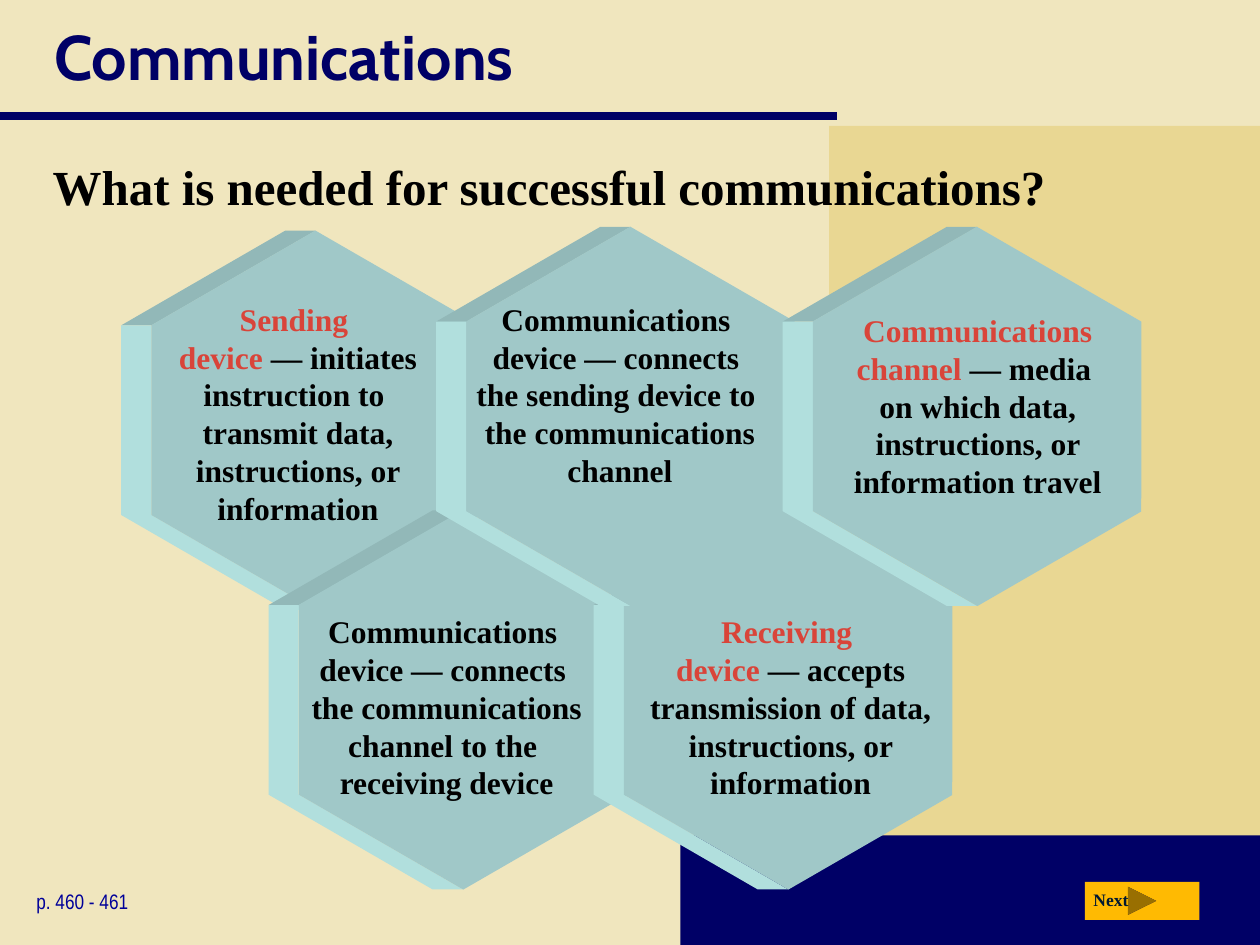
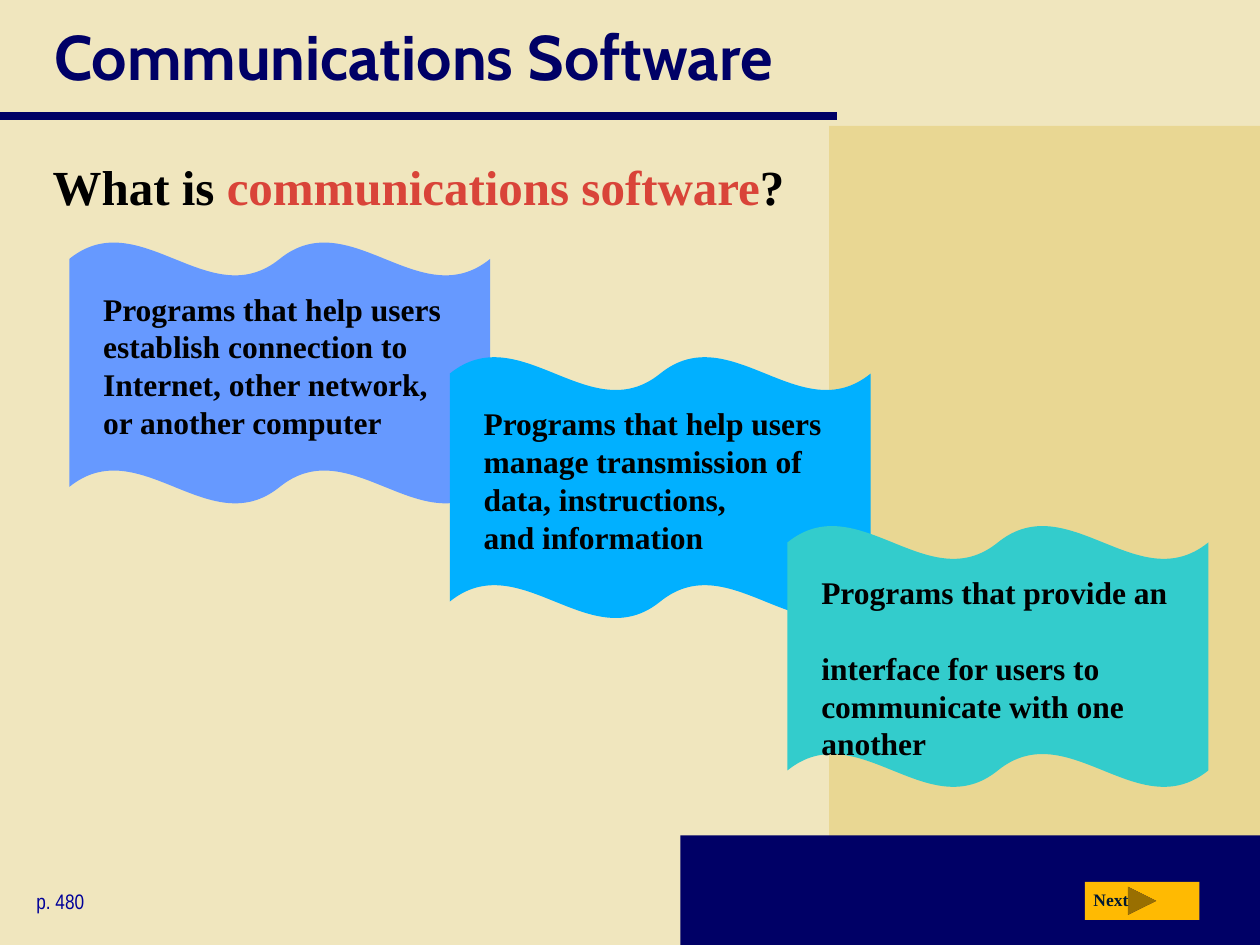
from dataclasses import dataclass
from math import sqrt

from pptx import Presentation
from pptx.dml.color import RGBColor
from pptx.enum.shapes import MSO_CONNECTOR, MSO_SHAPE
from pptx.enum.text import MSO_ANCHOR, PP_ALIGN
from pptx.oxml.ns import qn
from pptx.util import Inches, Pt

RECT = MSO_SHAPE.RECTANGLE
HEXAGON = MSO_SHAPE.HEXAGON
WAVE = MSO_SHAPE.DOUBLE_WAVE
NEXT_BUTTON = MSO_SHAPE.ACTION_BUTTON_FORWARD_OR_NEXT
STRAIGHT = MSO_CONNECTOR.STRAIGHT
LEFT, CENTER = PP_ALIGN.LEFT, PP_ALIGN.CENTER
MIDDLE, TOP = MSO_ANCHOR.MIDDLE, MSO_ANCHOR.TOP


@dataclass(frozen=True)
class Style:
    name: str
    size: int
    color: str
    bold: bool = True


@dataclass(frozen=True)
class Theme:
    paper: str = "F0E6BE"
    sand: str = "E9D793"
    navy: str = "000066"
    amber: str = "FFBA02"
    face: str = "A0C8C8"
    light: str = "B1DFDD"
    dark: str = "92B8B8"
    title: Style = Style("Cabin", 36, "000066")
    heading: Style = Style("Times New Roman", 28, "000000")
    body: Style = Style("Times New Roman", 18, "000000")
    button: Style = Style("Times New Roman", 10, "001932")
    page: Style = Style("Arial Narrow", 12, "000099", False)


THEME = Theme()


@dataclass(frozen=True)
class Run:
    text: str
    color: str | None = None


@dataclass(frozen=True)
class Box:
    x: float
    y: float
    w: float
    h: float


@dataclass(frozen=True)
class HexCard:
    x: float
    y: float
    text: Box
    runs: tuple[Run, ...]


@dataclass(frozen=True)
class WaveCard:
    x: float
    y: float
    fill: str
    text: str


HEX_W, HEX_H, HEX_DEPTH = 3.01, 2.61, 0.24
WAVE_W, WAVE_H = 3.34, 2.08


def key(text: str) -> Run:
    return Run(text, "D94439")


HEX_CARDS = (
    HexCard(1, 2.03, Box(1, 2.33, 2.73, 1.9), (
        key("Sending \ndevice "),
        Run("— initiates instruction to \ntransmit data, instructions, or information"))),
    HexCard(2.17, 4.25, Box(2.17, 4.81, 2.75, 1.6), (
        Run("Communications \ndevice — connects \nthe communications channel to the \n"
            "receiving device"),)),
    HexCard(4.75, 4.25, Box(4.9, 4.81, 2.75, 1.6), (
        key("Receiving \ndevice "),
        Run("— accepts transmission of data, instructions, or information"))),
    HexCard(3.5, 2, Box(3.51, 2.33, 2.82, 1.6), (
        Run("Communications \ndevice — connects \nthe sending device to \n"
            "the communications channel"),)),
    HexCard(6.25, 2, Box(6.35, 2.42, 2.82, 1.6), (
        key("Communications channel "),
        Run("— media \non which data, instructions, or information travel"))),
)

WAVE_CARDS = (
    WaveCard(0.55, 1.92, "6699FF",
             "Programs that help users \nestablish connection to \n"
             "Internet, other network, \nor another computer"),
    WaveCard(3.57, 2.83, "01B0FF",
             "Programs that help users \nmanage transmission of \n"
             "data, instructions, \nand information"),
    WaveCard(6.25, 4.17, "33CCCC",
             "Programs that provide an \ninterface for users to \n"
             "communicate with one \nanother"),
)


def paint(sp, color: str) -> None:
    sp.shadow.inherit = False
    sp.fill.solid()
    sp.fill.fore_color.rgb = RGBColor.from_string(color)
    sp.line.fill.background()


def add_shape(shapes, kind, box: Box, color: str):
    sp = shapes.add_shape(kind, Inches(box.x), Inches(box.y), Inches(box.w), Inches(box.h))
    paint(sp, color)
    return sp


def write(tf, runs: tuple[Run, ...], style: Style, align=LEFT, anchor=TOP,
          wrap: bool = True) -> None:
    for name, value in {"word_wrap": wrap, "vertical_anchor": anchor}.items():
        setattr(tf, name, value)
    p = tf.paragraphs[0]
    p.alignment = align
    font = {"name": style.name, "size": Pt(style.size), "bold": style.bold}
    for run in runs:
        for i, line in enumerate(run.text.split("\n")):
            if i:
                p.add_line_break()
            r = p.add_run()
            r.text = line
            for name, value in font.items():
                setattr(r.font, name, value)
            r.font.color.rgb = RGBColor.from_string(run.color or style.color)


def add_text(shapes, box: Box, runs: tuple[Run, ...], style: Style, align=LEFT,
             wrap: bool = True) -> None:
    sp = shapes.add_textbox(Inches(box.x), Inches(box.y), Inches(box.w), Inches(box.h))
    write(sp.text_frame, runs, style, align, wrap=wrap)


def add_outline(shapes, points: list[tuple[float, float]], color: str) -> None:
    pts = [(Inches(x), Inches(y)) for x, y in points]
    builder = shapes.build_freeform(*pts[0])
    builder.add_line_segments(pts[1:], close=True)
    paint(builder.convert_to_shape(), color)


def add_hex_card(s, card: HexCard) -> None:
    shapes = s.shapes.add_group_shape().shapes
    cx, cy, radius = card.x + HEX_W / 2, card.y + HEX_H / 2, HEX_W / 2
    left = cx - radius * sqrt(3) / 2
    edge = [(cx, cy - radius), (left, cy - radius / 2),
            (left, cy + radius / 2), (cx, cy + radius)]
    for part, color in ((edge[:2], THEME.dark), (edge[1:], THEME.light)):
        back = [(x - HEX_DEPTH, y) for x, y in reversed(part)]
        add_outline(shapes, part + back, color)
    sp = add_shape(shapes, HEXAGON, Box(card.x, card.y, HEX_W, HEX_H), THEME.face)
    sp.adjustments[0] = 0.289
    sp.rotation = 330
    add_text(shapes, card.text, card.runs, THEME.body, CENTER)


def add_wave_card(s, card: WaveCard) -> None:
    shapes = s.shapes.add_group_shape().shapes
    sp = add_shape(shapes, WAVE, Box(card.x, card.y, WAVE_W, WAVE_H), card.fill)
    sp.adjustments[0] = 0.065
    add_text(shapes, Box(card.x + 0.17, card.y + 0.33, 3, 1.3), (Run(card.text),),
             THEME.body, wrap=False)


def add_slide(prs, title: str, heading: tuple[Run, ...], pages: str):
    s = prs.slides.add_slide(prs.slide_layouts[5])
    add_shape(s.shapes, RECT, Box(6.58, 1, 3.42, 6.5), THEME.sand)
    add_shape(s.shapes, RECT, Box(5.4, 6.63, 4.6, 0.87), THEME.navy)
    rule = s.shapes.add_connector(STRAIGHT, 0, Inches(0.92), Inches(6.64), Inches(0.92))
    rule.line.color.rgb = RGBColor.from_string(THEME.navy)
    rule.line.width = Pt(5)
    sp_pr = rule._element.spPr
    sp_pr.append(sp_pr.makeelement(qn("a:effectLst"), {}))

    sp = s.shapes.title
    place = {"left": Inches(0.33), "top": 0, "width": Inches(9.39), "height": Inches(0.88)}
    for name, value in place.items():
        setattr(sp, name, value)
    write(sp.text_frame, (Run(title),), THEME.title, anchor=MIDDLE)

    add_text(s.shapes, Box(0.32, 1.19, 9.39, 0.64), heading, THEME.heading)
    button = s.shapes.add_group_shape().shapes
    add_shape(button, NEXT_BUTTON, Box(8.61, 7, 0.91, 0.3), THEME.amber)
    add_text(button, Box(8.58, 7.01, 0.51, 0.27), (Run("Next"),), THEME.button)
    add_text(s.shapes, Box(0.19, 7, 1.69, 0.3), (Run(pages),), THEME.page)
    return s


def main() -> None:
    prs = Presentation()
    prs.slide_width, prs.slide_height = Inches(10), Inches(7.5)
    fill = prs.slide_master.background.fill
    fill.solid()
    fill.fore_color.rgb = RGBColor.from_string(THEME.paper)

    s = add_slide(prs, "Communications",
                  (Run("What is needed for successful communications?"),), "p. 460 - 461")
    for card in HEX_CARDS:
        add_hex_card(s, card)

    s = add_slide(prs, "Communications Software",
                  (Run("What is "), key("communications software"), Run("?")), "p. 480")
    for card in WAVE_CARDS:
        add_wave_card(s, card)

    prs.save("out.pptx")


if __name__ == "__main__":
    main()
